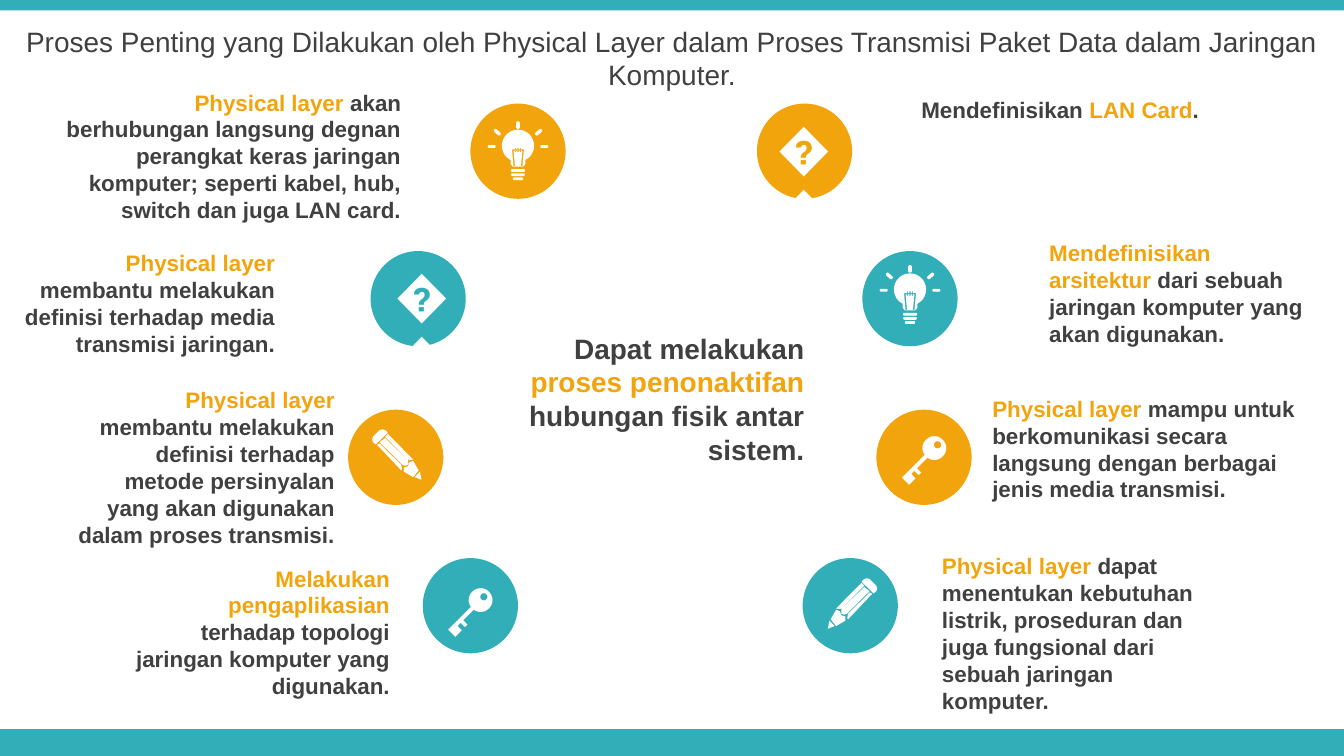
import math

import pptx
import pptx.dml.color
import pptx.enum.shapes
import pptx.enum.text
import pptx.util

Pt = pptx.util.Pt
SHAPE = pptx.enum.shapes.MSO_SHAPE
ALIGN = pptx.enum.text.PP_ALIGN
ANCHOR = pptx.enum.text.MSO_ANCHOR
AUTO_SIZE = pptx.enum.text.MSO_AUTO_SIZE

TEAL, ORANGE, DARK, WHITE = "32AEB8", "F2A40D", "404040", "FFFFFF"
WIDTH, HEIGHT = 720, 405
CIRCLE = 51
ROW_TOPS = (55.5, 134.5, 219.5, 299)

TITLE = ("Proses Penting yang Dilakukan oleh Physical Layer dalam "
         "Proses Transmisi Paket Data dalam Jaringan Komputer.")

# Circle left and fill, row by row
LEFT_CIRCLES = ((252, ORANGE), (198.5, TEAL), (186.5, ORANGE), (226.5, TEAL))
RIGHT_CIRCLES = ((405.5, ORANGE), (462, TEAL), (469.5, ORANGE), (430, TEAL))

# Box (left, top, width, height) and coloured pieces of text
LEFT_NOTES = (
    ((20, 44, 202, 80), (("Physical layer ", ORANGE), (
        "akan berhubungan langsung degnan perangkat keras jaringan komputer; "
        "seperti kabel, hub, switch dan juga LAN card.", DARK))),
    ((2.5, 130, 152, 65.5), (("Physical layer ", ORANGE), (
        "membantu melakukan definisi terhadap media transmisi jaringan.", DARK))),
    ((34.5, 203.5, 152, 94.5), (("Physical layer ", ORANGE), (
        "membantu melakukan definisi terhadap metode persinyalan yang akan "
        "digunakan dalam proses transmisi.", DARK))),
    ((64, 299, 152, 80), (("Melakukan pengaplikasian ", ORANGE), (
        "terhadap topologi jaringan komputer yang digunakan.", DARK))),
)
RIGHT_NOTES = (
    ((486.5, 48, 193, 21.5), (
        ("Mendefinisikan ", DARK), ("LAN Card", ORANGE), (".", DARK))),
    ((555, 124.5, 152, 65.5), (("Mendefinisikan arsitektur ", ORANGE), (
        "dari sebuah jaringan komputer yang akan digunakan.", DARK))),
    ((524.5, 208, 184, 65.5), (("Physical layer ", ORANGE), (
        "mampu untuk berkomunikasi secara langsung dengan berbagai jenis "
        "media transmisi.", DARK))),
    ((497.5, 292.5, 162, 94.5), (("Physical layer ", ORANGE), (
        "dapat menentukan kebutuhan listrik, proseduran dan juga fungsional "
        "dari sebuah jaringan komputer.", DARK))),
)
CENTRE_NOTE = (("Dapat melakukan ", DARK), ("proses penonaktifan ", ORANGE),
               ("hubungan fisik antar sistem.", DARK))

SYMBOLS = (("📌", 205, 137.5), ("📌", 409.5, 59),
           ("🔑", 232, 304.5), ("🔑", 475, 223))
BULB_CENTRES = ((277.5, 81), (487.5, 158))

# Pencil parts around its centre: tip, wood, three stripes, eraser
PENCIL = (
    ((-12.2, 9), (-9.4, 11.9), (-13, 13.3)),
    ((-8.6, 3.2), (-6.5, 4), (-5.8, 6.1), (-3.6, 6.8), (-3.6, 9),
     (-8.6, 11.9), (-11.5, 8.3)),
    ((9.4, -6.1), (10.8, -5.4), (-2.2, 8.3), (-2.6, 7.6), (-2.2, 5.4)),
    ((6.5, -9), (9.4, -6.8), (-2.9, 5.4), (-4.4, 5.8), (-5.8, 5.2), (-5.8, 2.8)),
    ((5, -11.2), (6.5, -9.7), (-5.8, 2.5), (-7.2, 2.9), (-8.6, 2.5)),
    ((6.5, -13.3), (7.9, -13.7), (9.4, -13.3), (13, -9.7), (13.4, -8.2),
     (13, -6.8), (11.5, -5.6), (5, -11.9)),
)


def colour(value):
    return pptx.dml.color.RGBColor.from_string(value)


def paint(shape, fill):
    shape.fill.solid()
    shape.fill.fore_color.rgb = colour(fill)
    shape.line.fill.background()
    shape.shadow.inherit = False


def add_solid(slide, kind, box, fill):
    paint(slide.shapes.add_shape(kind, *map(Pt, box)), fill)


def add_text(slide, box, pieces, size, align=ALIGN.LEFT, bold=True,
             font="Arial", wrap=True):
    frame = slide.shapes.add_textbox(*map(Pt, box)).text_frame
    frame.word_wrap = wrap
    paragraph = frame.paragraphs[0]
    paragraph.alignment = align
    for text, tint in pieces:
        run = paragraph.add_run()
        run.text = text
        run.font.name = font
        run.font.size = Pt(size)
        run.font.bold = bold
        run.font.color.rgb = colour(tint)
    return frame


def arc(x, y, radius, start, end, steps):
    angles = [math.radians(start + (end - start) * i / steps)
              for i in range(steps + 1)]
    return [(x + radius * math.cos(a), y + radius * math.sin(a)) for a in angles]


def capsule(x1, y1, x2, y2, radius):
    turn = math.degrees(math.atan2(y2 - y1, x2 - x1))
    return (arc(x2, y2, radius, turn - 90, turn + 90, 8)
            + arc(x1, y1, radius, turn + 90, turn + 270, 8))


def bulb_parts():
    # Glass with its neck, then the filament as holes
    neck = [(4, 4.7), (4, 6.9), (2.7, 8.3), (-2.7, 8.3), (-4, 6.9), (-4, 4.7)]
    parts = [arc(0, -2.9, 8.6, 130, 410, 40) + neck]
    parts.append([(-3.2, -1), (3.2, -1), (2.4, 8), (1.6, 8), (2.4, -0.3),
                  (-2.4, -0.3), (-1.6, 8), (-2.4, 8)])
    for x in (-1.4, 0, 1.4):
        for top in (-1.8, -0.3):
            parts.append([(x - 0.3, top), (x + 0.3, top),
                          (x + 0.3, top + 0.8), (x - 0.3, top + 0.8)])
    # Screw thread
    for y, half in ((10.4, 3.1), (12.6, 2.9), (14.8, 2)):
        parts.append(capsule(-half, y, half, y, 0.75))
    # Rays
    parts.append(capsule(0, -15, 0, -12.9, 1))
    for side in (-1, 1):
        parts.append(capsule(side * 15.5, -2.5, side * 12.7, -2.5, 0.75))
        parts.append(capsule(side * 12, -11, side * 10.1, -9.3, 0.9))
    return parts


def add_icon(slide, centre, parts, side=1):
    x, y = centre
    builder = None
    for part in parts:
        points = [(Pt(x + side * dx), Pt(y + dy)) for dx, dy in part]
        if builder is None:
            builder = slide.shapes.build_freeform(*points[0], scale=1.0)
        else:
            builder.move_to(*points[0])
        builder.add_line_segments(points[1:], close=True)
    paint(builder.convert_to_shape(), WHITE)


def main():
    deck = pptx.Presentation()
    deck.slide_width, deck.slide_height = Pt(WIDTH), Pt(HEIGHT)
    slide = deck.slides.add_slide(deck.slide_layouts[6])

    # Bars and title
    add_solid(slide, SHAPE.RECTANGLE, (0, 390.7, WIDTH, 14.3), TEAL)
    add_solid(slide, SHAPE.RECTANGLE, (0, 0, WIDTH, 5.6), TEAL)
    title = add_text(slide, (0, 15, WIDTH, 32), ((TITLE, DARK),), 15,
                     ALIGN.CENTER, bold=False)
    title.vertical_anchor = ANCHOR.MIDDLE

    # Circles and notes on both sides
    for circles, notes, align in ((LEFT_CIRCLES, LEFT_NOTES, ALIGN.RIGHT),
                                  (RIGHT_CIRCLES, RIGHT_NOTES, ALIGN.LEFT)):
        for (left, fill), top in zip(circles, ROW_TOPS):
            add_solid(slide, SHAPE.OVAL, (left, top, CIRCLE, CIRCLE), fill)
        for box, pieces in notes:
            note = add_text(slide, box, pieces, 12, align)
            note.auto_size = AUTO_SIZE.SHAPE_TO_FIT_TEXT
    centre = add_text(slide, (275, 174, 163, 80), CENTRE_NOTE, 15, ALIGN.RIGHT)
    centre.auto_size = AUTO_SIZE.SHAPE_TO_FIT_TEXT

    # Icons inside the circles
    for bulb_centre in BULB_CENTRES:
        add_icon(slide, bulb_centre, bulb_parts())
    add_icon(slide, (456.5, 323.5), PENCIL)
    add_icon(slide, (212.8, 243.7), PENCIL, side=-1)
    for symbol, left, top in SYMBOLS:
        add_text(slide, (left, top, 41, 41), ((symbol, WHITE),), 28,
                 bold=False, font="Roboto Condensed", wrap=False)

    deck.save("out.pptx")


if __name__ == "__main__":
    main()
